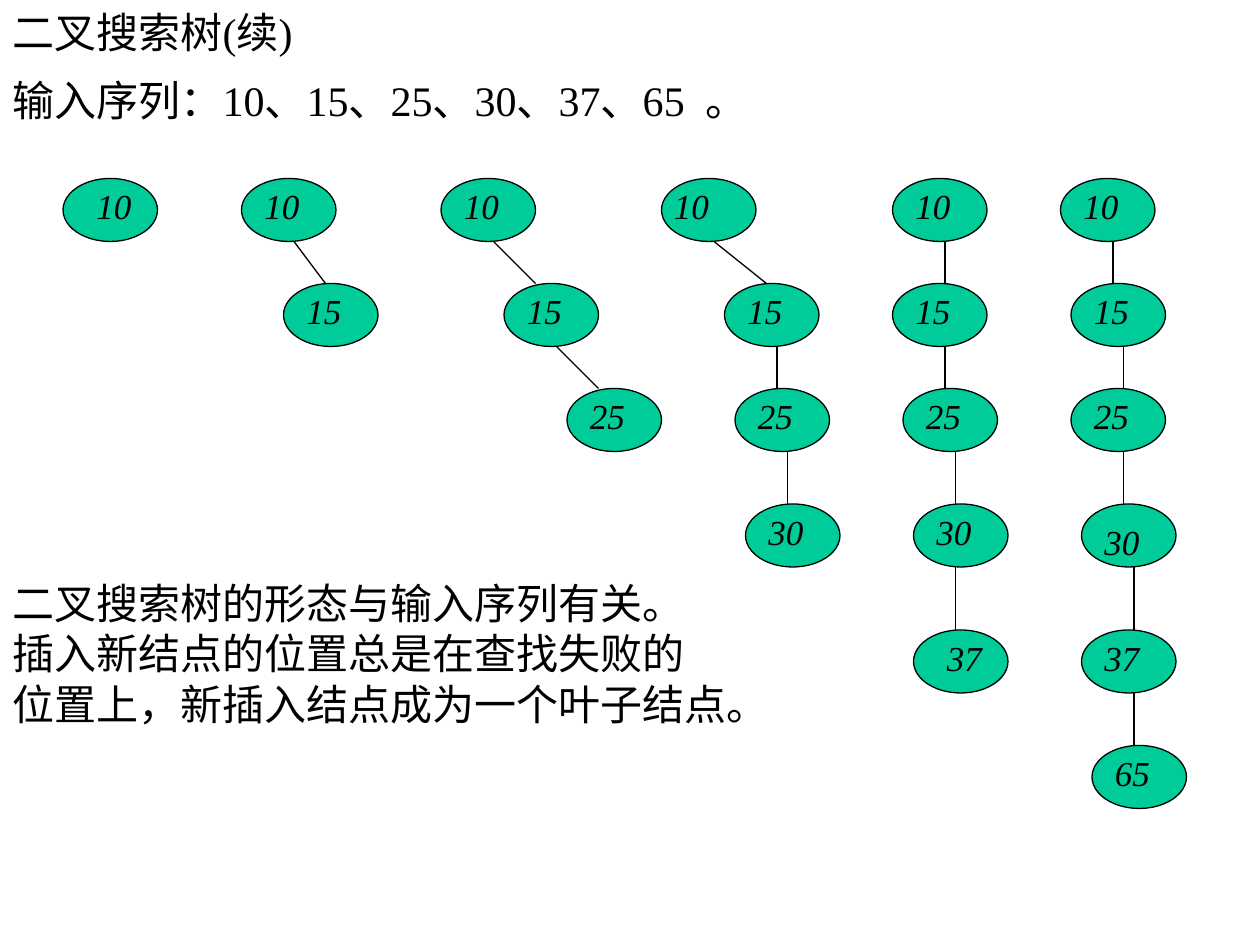
"""Build a slide showing how a binary search tree grows from a sorted input."""
from typing import NamedTuple

from lxml import etree
from pptx import Presentation
from pptx.dml.color import RGBColor
from pptx.enum.shapes import MSO_CONNECTOR, MSO_SHAPE
from pptx.enum.text import MSO_ANCHOR, MSO_AUTO_SIZE, PP_ALIGN
from pptx.oxml.ns import qn
from pptx.util import Inches, Pt

ELLIPSE = MSO_SHAPE.OVAL
STRAIGHT = MSO_CONNECTOR.STRAIGHT
LEFT = PP_ALIGN.LEFT
MIDDLE, TOP = MSO_ANCHOR.MIDDLE, MSO_ANCHOR.TOP
FIXED, GROW = MSO_AUTO_SIZE.NONE, MSO_AUTO_SIZE.SHAPE_TO_FIT_TEXT

BLACK = RGBColor(0x00, 0x00, 0x00)
GREEN = RGBColor(0x00, 0xCC, 0x99)

CELL = Inches(1) / 12
NODE_WIDTH, NODE_HEIGHT = 9, 6
LEVELS = (17, 27, 37, 48, 60, 71)
KEYS = ("10", "15", "25", "30", "37", "65")

TITLE = "二叉搜索树(续)"
STATEMENTS = (
    "输入序列：10、15、25、30、37、65  。",
    "二叉搜索树的形态与输入序列有关。",
    "插入新结点的位置总是在查找失败的",
    "位置上，新插入结点成为一个叶子结点。",
)


class Node(NamedTuple):
    """Column of a node, with the offsets of its key and of its links."""
    column: int
    key_right: int = 1
    key_down: int = 0
    link_in: int = 4
    link_out: int = 5


TREES = (
    (Node(6, key_right=2),),
    (Node(23), Node(27)),
    (Node(42), Node(48, link_in=3), Node(54, link_in=3)),
    (Node(63, key_right=0), Node(69), Node(70), Node(71)),
    (Node(85), Node(85, link_in=5), Node(86), Node(87, link_out=4),
     Node(87, key_right=2)),
    (Node(101), Node(102), Node(102, link_in=5), Node(103, key_down=1),
     Node(103, link_in=5), Node(104)),
)


class TreeSlide:
    """Style and current slide, measured in grid columns and rows."""

    font_name = "Times New Roman"
    text_size = Pt(24)
    key_size = Pt(20)
    line_width = Pt(0.75)

    def __init__(self, presentation):
        self.slide = presentation.slides.add_slide(presentation.slide_layouts[1])

    def grid(self, *cells):
        return [round(cell * CELL) for cell in cells]

    def style(self, paragraph, size, italic=False):
        paragraph.alignment = LEFT
        for run in paragraph.runs:
            run.font.name = self.font_name
            run.font.size = size
            run.font.italic = italic
            run.font.color.rgb = BLACK

    def place(self, holder, anchor, *box):
        holder.left, holder.top, holder.width, holder.height = self.grid(*box)
        frame = holder.text_frame
        frame.auto_size = FIXED
        frame.vertical_anchor = anchor
        return frame

    def title(self, text):
        frame = self.place(self.slide.shapes.title, MIDDLE, 0, 0, 102, 6)
        frame.text = text
        self.style(frame.paragraphs[0], self.text_size)

    def body(self, statements):
        frame = self.place(self.slide.placeholders[1], TOP, 0, 6, 116, 80)
        frame.margin_top = Inches(0.09)
        frame.text = "\n".join(statements)
        for paragraph in frame.paragraphs:
            properties = paragraph._p.get_or_add_pPr()
            properties.set("marL", str(Inches(0.38)))
            properties.set("indent", str(-Inches(0.38)))
            etree.SubElement(properties, qn("a:buNone"))
            paragraph.line_spacing = Pt(28.8)
            paragraph.space_before = Pt(0)
            self.style(paragraph, self.text_size)
        frame.paragraphs[1].space_before = Pt(258.6)

    def ellipse(self, column, row):
        node = self.slide.shapes.add_shape(
            ELLIPSE, *self.grid(column, row, NODE_WIDTH, NODE_HEIGHT))
        node.shadow.inherit = False
        node.fill.solid()
        node.fill.fore_color.rgb = GREEN
        node.line.color.rgb = BLACK
        node.line.width = self.line_width

    def key(self, text, column, row):
        label = self.slide.shapes.add_textbox(*self.grid(column, row, 7, 5.25))
        frame = label.text_frame
        frame.word_wrap = True
        frame.auto_size = GROW
        frame.text = text
        self.style(frame.paragraphs[0], self.key_size, italic=True)

    def link(self, *ends):
        edge = self.slide.shapes.add_connector(STRAIGHT, *self.grid(*ends))
        edge.line.color.rgb = BLACK
        edge.line.width = self.line_width
        etree.SubElement(edge._element.spPr, qn("a:effectLst"))

    def tree(self, nodes):
        for node, row, key in zip(nodes, LEVELS, KEYS):
            self.ellipse(node.column, row)
            self.key(key, node.column + node.key_right, row + node.key_down)
        for parent, child, row, next_row in zip(nodes, nodes[1:], LEVELS, LEVELS[1:]):
            self.link(parent.column + parent.link_out, row + NODE_HEIGHT,
                      child.column + child.link_in, next_row)


def main():
    presentation = Presentation()
    presentation.slide_width = Inches(10)
    presentation.slide_height = Inches(7.5)
    page = TreeSlide(presentation)
    page.title(TITLE)
    page.body(STATEMENTS)
    for nodes in TREES:
        page.tree(nodes)
    presentation.save("out.pptx")


if __name__ == "__main__":
    main()
